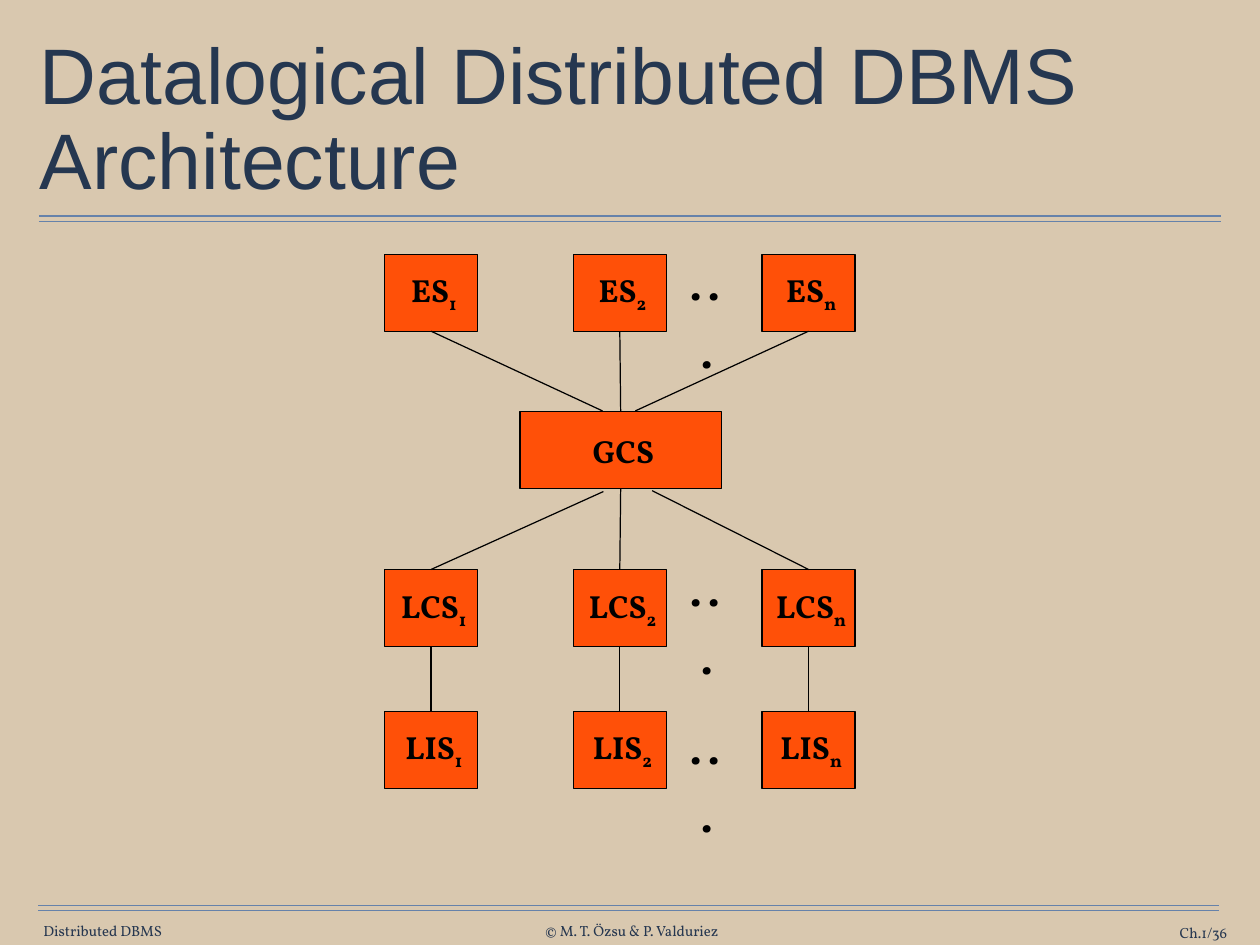
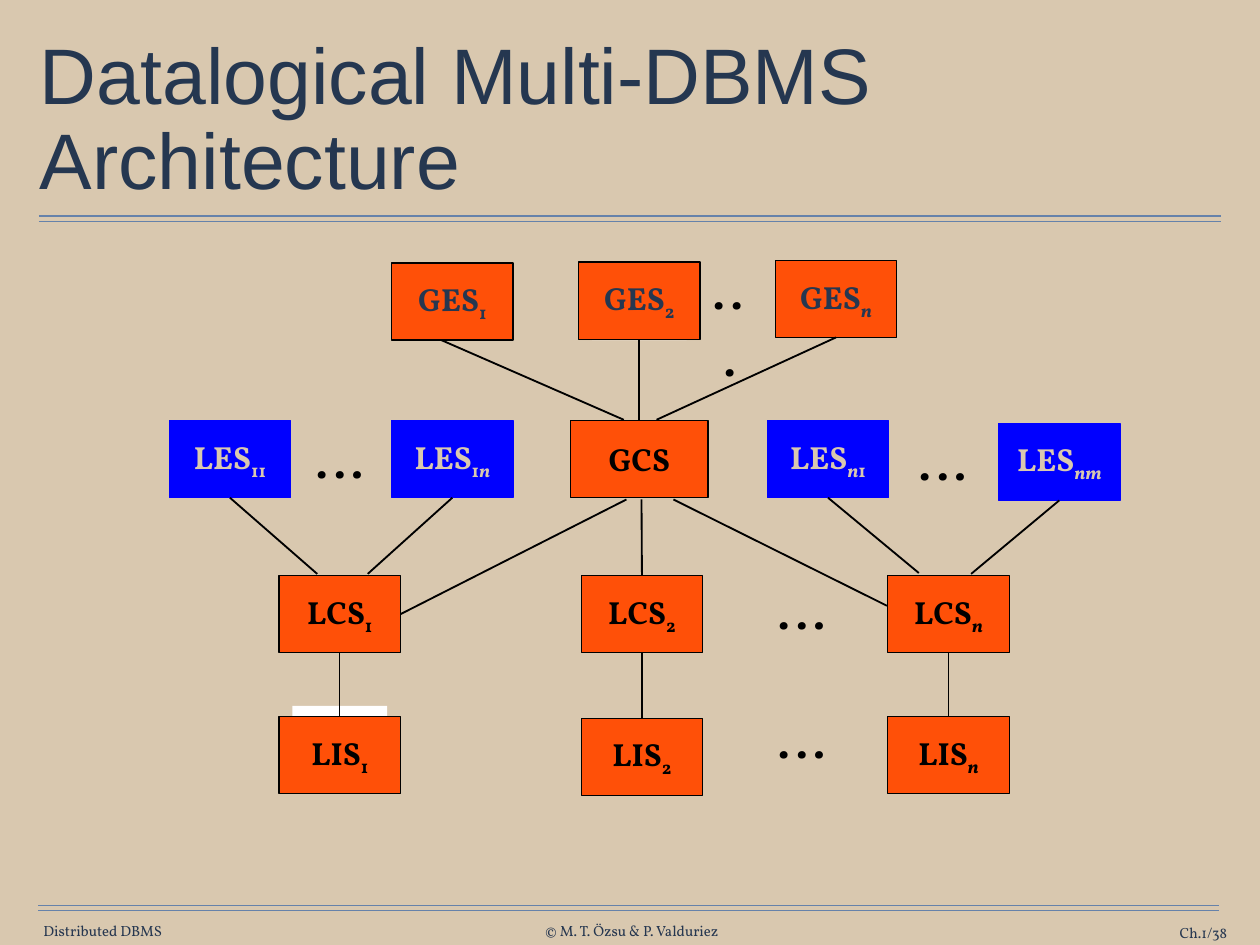
from itertools import groupby

from lxml import etree
from pptx import Presentation
from pptx.dml.color import RGBColor
from pptx.enum.shapes import MSO_CONNECTOR, MSO_SHAPE
from pptx.enum.text import MSO_ANCHOR, PP_ALIGN
from pptx.oxml.ns import qn
from pptx.util import Pt

PX = 9144  # EMU per px, 100 px to the inch
RECT, STRAIGHT = MSO_SHAPE.RECTANGLE, MSO_CONNECTOR.STRAIGHT
LEFT, CENTER, RIGHT = PP_ALIGN.LEFT, PP_ALIGN.CENTER, PP_ALIGN.RIGHT
TOP, MIDDLE = MSO_ANCHOR.TOP, MSO_ANCHOR.MIDDLE
T, L, B, R = range(4)  # connection sites of a rectangle

COLORS = {
    "sand": "D9C8AF", "rule": "6682AA", "footer": "263750", "title": "253750",
    "orange": "FF5008", "blue": "0000FF", "black": "000000", "white": "FFFFFF",
}
BOX_STYLES = {  # fill, line, text
    "GES": ("orange", "black", "footer"),
    "LES": ("blue", "blue", "sand"),
}
DEFAULT_STYLE = ("orange", "black", "black")
BOX_H = 87

TITLE_BOX = (39, 49, 1344, 176)
RULES = [(44, 1378, 244), (44, 1378, 250), (43, 1376, 1022), (43, 1376, 1028)]
FOOTERS = [
    ("Distributed DBMS", (47, 1041, 138, 20), CENTER),
    ("© M. T. Özsu & P. Valduriez", (609, 1041, 208, 20), CENTER),
    ("Ch.1/{page}", (1231, 1043, 154, 20), RIGHT),
]

COLUMNS = [(sub, 434 + 213 * i) for i, sub in enumerate("12n")]
ROWS = [("ES", 287), ("LCS", 643), ("LIS", 803)]

# Boxes: name, subscript, left, top, width.
# Links: two ends, each a (box, site) or an (x, y) point, then line width.
SLIDES = [
    {
        "title": "Datalogical Distributed DBMS Architecture",
        "page": 36,
        "italic": False,
        "label_inset": 6,
        "patches": [],
        "boxes": [(name, sub, x, y, 105) for name, y in ROWS for sub, x in COLUMNS]
        + [("GCS", "", 587, 465, 227)],
        "dots": [("...", 760, y, 77) for y in (268, 614, 792)],
        "links": [
            (("ES1", B), (680, 464), 1),
            (("ES2", B), ("GCS", T), 1),
            (("ESn", B), (717, 464), 1),
            ((681, 555), ("LCS1", T), 1),
            (("GCS", B), ("LCS2", T), 1),
            ((736, 554), ("LCSn", T), 1),
        ] + [(("LCS" + sub, B), ("LIS" + sub, T), 1) for sub in "12n"],
    },
    {
        "title": "Datalogical Multi-DBMS Architecture",
        "page": 38,
        "italic": True,
        "label_inset": 0,
        "patches": [(458, 296), (668, 295), (330, 797)],
        "boxes": [
            ("GES", "1", 442, 297, 137), ("GES", "2", 653, 296, 137),
            ("GES", "n", 875, 294, 137),
            ("LES", "11", 191, 475, 137), ("LES", "1n", 442, 475, 137),
            ("GCS", "", 644, 475, 155),
            ("LES", "n1", 866, 475, 137), ("LES", "nm", 1127, 478, 137),
            ("LCS", "1", 315, 650, 137), ("LCS", "2", 656, 650, 137),
            ("LCS", "n", 1002, 650, 137),
            ("LIS", "1", 315, 809, 137), ("LIS", "2", 656, 811, 137),
            ("LIS", "n", 1002, 809, 137),
        ],
        "dots": [("...", 786, 278, 77), ("…", 337, 469, 93), ("…", 1018, 472, 93),
                 ("…", 858, 640, 93), ("…", 858, 785, 93)],
        "links": [
            ((498, 384), (704, 474), 1.5),
            (("GES2", B), ("GCS", T), 1.5),
            (("GESn", B), (741, 474), 1.5),
            ((707, 564), ("LCS1", R), 1.5),
            ((724, 564), ("LCS2", T), 1.5),
            ((760, 564), (1001, 684), 1.5),
            (("LES11", B), (358, 648), 1.5),
            (("LES1n", B), (415, 648), 1.5),
            (("LESn1", B), (1037, 647), 1.5),
            (("LESnm", B), (1096, 648), 1.5),
            (("LCS1", B), ("LIS1", T), 1),
            (("LCS2", B), ("LIS2", T), 1.5),
            (("LCSn", B), ("LISn", T), 1.5),
        ],
    },
]


def rgb(name):
    return RGBColor.from_string(COLORS[name])


def emu(*lengths):
    return [n * PX for n in lengths]


def set_text(tf, text, sub="", size=26, color="black", font="Vollkorn", bold=False,
             italic_letters=False, align=CENTER, anchor=MIDDLE,
             insets=(0, 0, 0, 0), spacing=None):
    """Fill a text frame with one paragraph, sub being set as a subscript."""
    tf.word_wrap = True
    tf.vertical_anchor = anchor
    tf.margin_left, tf.margin_top, tf.margin_right, tf.margin_bottom = emu(*insets)
    p = tf.paragraphs[0]
    p.alignment = align
    if spacing:
        p.line_spacing = spacing
    parts = [(text, False, False)]
    for is_letter, chars in groupby(sub, str.isalpha):
        parts.append(("".join(chars), True, is_letter and italic_letters))
    for part, lowered, italic in parts:
        r = p.add_run()
        r.text = part
        r.font.name, r.font.size = font, Pt(size)
        r.font.bold, r.font.italic = bold, italic
        r.font.color.rgb = rgb(color)
        if lowered:
            r._r.get_or_add_rPr().set("baseline", "-25000")


def add_text(s, text, box, **fmt):
    set_text(s.shapes.add_textbox(*emu(*box)).text_frame, text, **fmt)


def add_rect(s, box, fill, line=None):
    sp = s.shapes.add_shape(RECT, *emu(*box))
    sp.shadow.inherit = False
    sp.fill.solid()
    sp.fill.fore_color.rgb = rgb(fill)
    if line:
        sp.line.color.rgb = rgb(line)
        sp.line.width = Pt(1)
    else:
        sp.line.fill.background()
    return sp


def add_line(s, start, end, color="black", width=1, boxes=None):
    """Draw a line; an end that names a box is joined to that box."""
    ends = [(0, 0) if isinstance(e[0], str) else e for e in (start, end)]
    cxn = s.shapes.add_connector(STRAIGHT, *emu(*ends[0], *ends[1]))
    for e, join in ((start, cxn.begin_connect), (end, cxn.end_connect)):
        if isinstance(e[0], str):
            join(boxes[e[0]], e[1])
    cxn.line.color.rgb = rgb(color)
    cxn.line.width = Pt(width)
    etree.SubElement(cxn._element.spPr, qn("a:effectLst"))


def add_frame(s, title, page):
    """Title, double rules and footers."""
    sp = s.shapes.title
    sp.left, sp.top, sp.width, sp.height = emu(*TITLE_BOX)
    set_text(sp.text_frame, title, size=64, color="title", font="Arial",
             align=LEFT, insets=(6, 6, 6, 6), spacing=0.9)
    for x1, x2, y in RULES:
        add_line(s, (x1, y), (x2, y), color="rule")
    for text, box, align in FOOTERS:
        add_text(s, text.format(page=page), box, size=12, color="footer", align=align)


def add_diagram(s, data):
    for x, y in data["patches"]:
        add_rect(s, (x, y, 107, 89), "white")
    boxes = {}
    for name, sub, x, y, w in data["boxes"]:
        fill, line, color = BOX_STYLES.get(name, DEFAULT_STYLE)
        sp = boxes[name + sub] = add_rect(s, (x, y, w, BOX_H), fill, line)
        set_text(sp.text_frame, name, sub, color=color, bold=True,
                 italic_letters=data["italic"], insets=(data["label_inset"], 0, 0, 0))
    for start, end, width in data["links"]:
        add_line(s, start, end, width=width, boxes=boxes)
    for text, x, y, w in data["dots"]:
        add_text(s, text, (x, y, w, 91), size=46, anchor=TOP, insets=(14, 7, 14, 7))


def main():
    prs = Presentation()
    prs.slide_width, prs.slide_height = emu(1422, 1067)
    background = prs.slide_master.background.fill
    background.solid()
    background.fore_color.rgb = rgb("sand")
    for data in SLIDES:
        s = prs.slides.add_slide(prs.slide_layouts.get_by_name("Title Only"))
        add_frame(s, data["title"], data["page"])
        add_diagram(s, data)
    prs.save("out.pptx")


if __name__ == "__main__":
    main()
